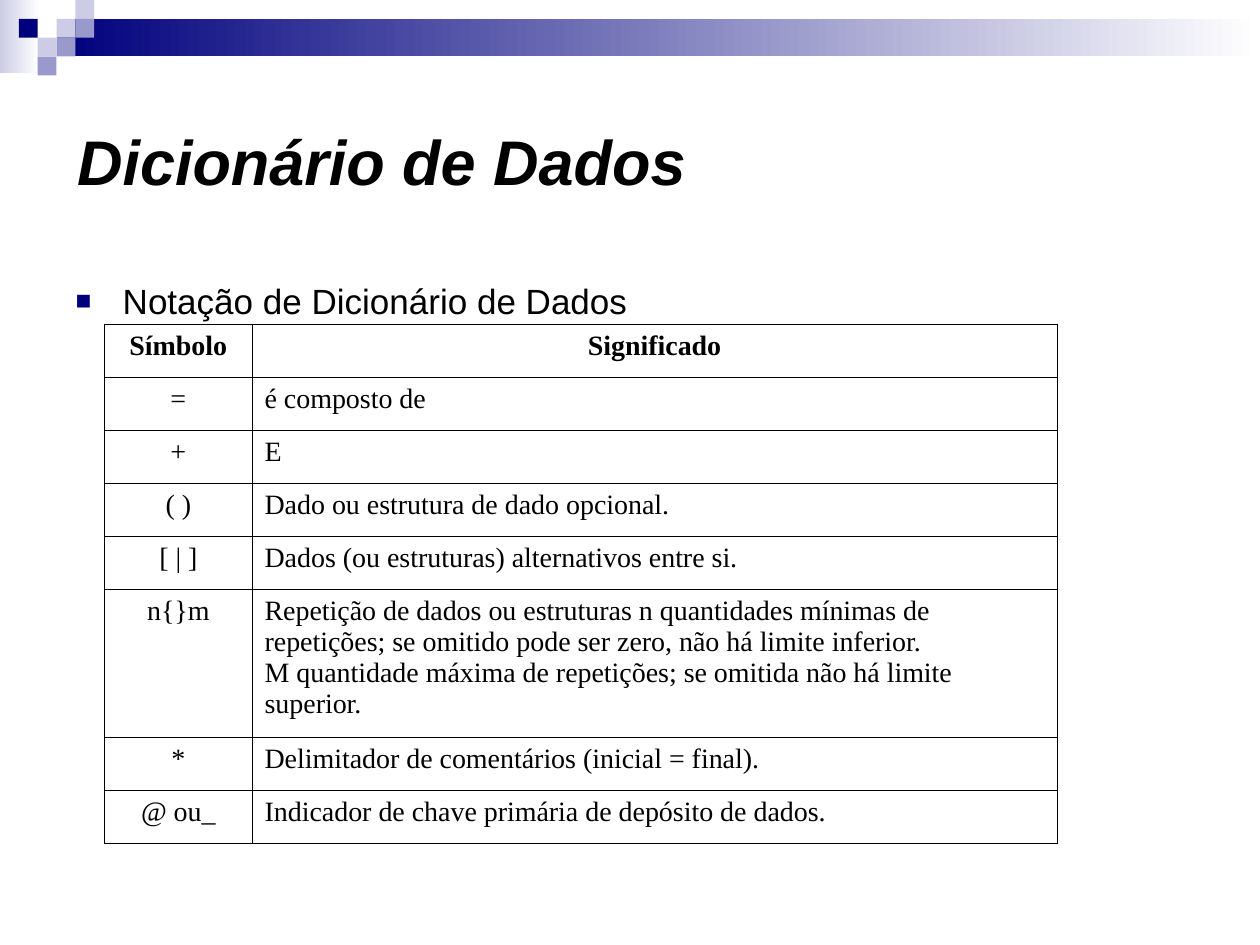
from lxml.etree import SubElement as Sub
from pptx import Presentation
from pptx.dml.color import RGBColor
from pptx.enum.shapes import MSO_SHAPE as Shape
from pptx.enum.text import MSO_ANCHOR as Anchor, MSO_AUTO_SIZE as Auto, PP_ALIGN as Align
from pptx.oxml.ns import qn
from pptx.util import Cm, Pt

NAVY = RGBColor(0x00, 0x00, 0x7D)
MID = RGBColor(0x99, 0x99, 0xCC)
PALE = RGBColor(0xCC, 0xCC, 0xE6)
WHITE = RGBColor(0xFF, 0xFF, 0xFF)
BLACK = RGBColor(0x00, 0x00, 0x00)

# Content
TITLE = "Dicionário de Dados"
LEAD = "Notação de Dicionário de Dados"
ROWS = [
    ("Símbolo", "Significado"),
    ("=", "é composto de"),
    ("+", "E"),
    ("( )", "Dado ou estrutura de dado opcional."),
    ("[ | ]", "Dados (ou estruturas) alternativos entre si."),
    ("n{}m", "Repetição de dados ou estruturas n quantidades mínimas de repetições; "
             "se omitido pode ser zero, não há limite inferior.\n"
             "M quantidade máxima de repetições; se omitida não há limite superior."),
    ("*", "Delimitador de comentários (inicial = final)."),
    ("@ ou_", "Indicador de chave primária de depósito de dados."),
]
BANDS = [(0, 0, 0.79, 1.47, PALE), (1.14, 0.38, 24.26, 0.76, NAVY)]
# Tiles as column, row, colour on a square grid
TILES = [(3, 1, PALE), (4, 0, PALE), (4, 1, MID), (2, 2, PALE),
         (1, 1, NAVY), (3, 2, MID), (2, 3, MID)]
TILE = 0.38
COLS = (2.97, 16.23)
LOW, TALL = 1.07, 2.98

deck = Presentation()
deck.slide_width, deck.slide_height = Cm(25.4), Cm(19.05)
slide = deck.slides.add_slide(deck.slide_layouts[1])


def add_rect(x, y, w, h):
    rect = slide.shapes.add_shape(Shape.RECTANGLE, Cm(x), Cm(y), Cm(w), Cm(h))
    rect.shadow.inherit = False
    rect.line.fill.background()
    return rect


def set_font(para, name, size, bold=False, italic=False):
    font = para.font
    font.name, font.size = name, Pt(size)
    font.bold, font.italic = bold, italic
    font.color.rgb = BLACK


def fill_holder(holder, text, x, y, w, h):
    holder.left, holder.top, holder.width, holder.height = Cm(x), Cm(y), Cm(w), Cm(h)
    frame = holder.text_frame
    frame.text = text
    frame.word_wrap, frame.auto_size = True, Auto.NONE
    para = frame.paragraphs[0]
    para.alignment = Align.LEFT
    return frame, para


def add_edges(cell):
    props = cell._tc.get_or_add_tcPr()
    for spot, side in enumerate(("lnL", "lnR", "lnT", "lnB")):
        edge = props.makeelement(qn(f"a:{side}"), {"w": str(Pt(0.45))})
        props.insert(spot, edge)
        Sub(Sub(edge, qn("a:solidFill")), qn("a:srgbClr"), val=str(BLACK))


# Header bands and tiles
for x, y, w, h, color in BANDS:
    fill = add_rect(x, y, w, h).fill
    fill.gradient()
    fill.gradient_angle = 0
    for stop, tone in zip(fill.gradient_stops, (color, WHITE)):
        stop.color.rgb = tone
for col, row, color in TILES:
    fill = add_rect(col * TILE, row * TILE, TILE, TILE).fill
    fill.solid()
    fill.fore_color.rgb = color

# Title
frame, para = fill_holder(slide.shapes.title, TITLE, 1.3, 1.32, 22.86, 3.81)
frame.vertical_anchor = Anchor.MIDDLE
set_font(para, "Arial", 36, bold=True, italic=True)

# Bullet line
frame, para = fill_holder(slide.placeholders[1], LEAD, 1.27, 5.51, 22.86, 1.45)
frame.vertical_anchor = Anchor.TOP
props = para._p.get_or_add_pPr()
props.set("marL", str(Cm(0.95)))
props.set("indent", str(-Cm(0.95)))
Sub(Sub(props, qn("a:buClr")), qn("a:srgbClr"), val=str(NAVY))
Sub(props, qn("a:buSzPct"), val="75000")
Sub(props, qn("a:buFont"), typeface="Arial")
Sub(props, qn("a:buChar"), char="■")
para.space_before = Pt(0)
set_font(para, "Arial", 20)

# Notation table
heights = [TALL if "\n" in text else LOW for _, text in ROWS]
table = slide.shapes.add_table(len(ROWS), len(COLS), Cm(2.11), Cm(6.53),
                               Cm(sum(COLS)), Cm(sum(heights))).table
for col, width in zip(table.columns, COLS):
    col.width = Cm(width)
for r, (texts, height) in enumerate(zip(ROWS, heights)):
    table.rows[r].height = Cm(height)
    for c, text in enumerate(texts):
        cell = table.cell(r, c)
        cell.text = text
        cell.fill.background()
        add_edges(cell)
        for para in cell.text_frame.paragraphs:
            para.alignment = Align.CENTER if r == 0 or c == 0 else Align.LEFT
            set_font(para, "Times New Roman", 16, bold=r == 0)

deck.save("out.pptx")
